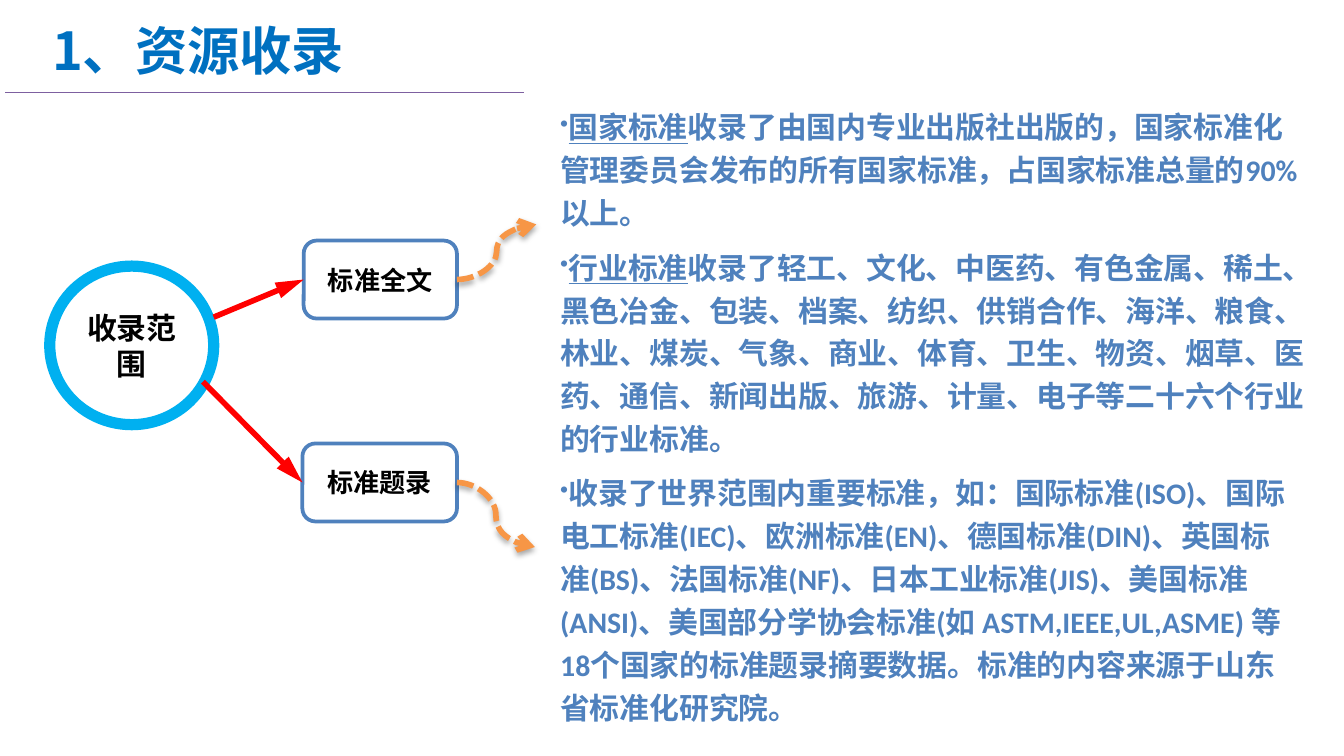
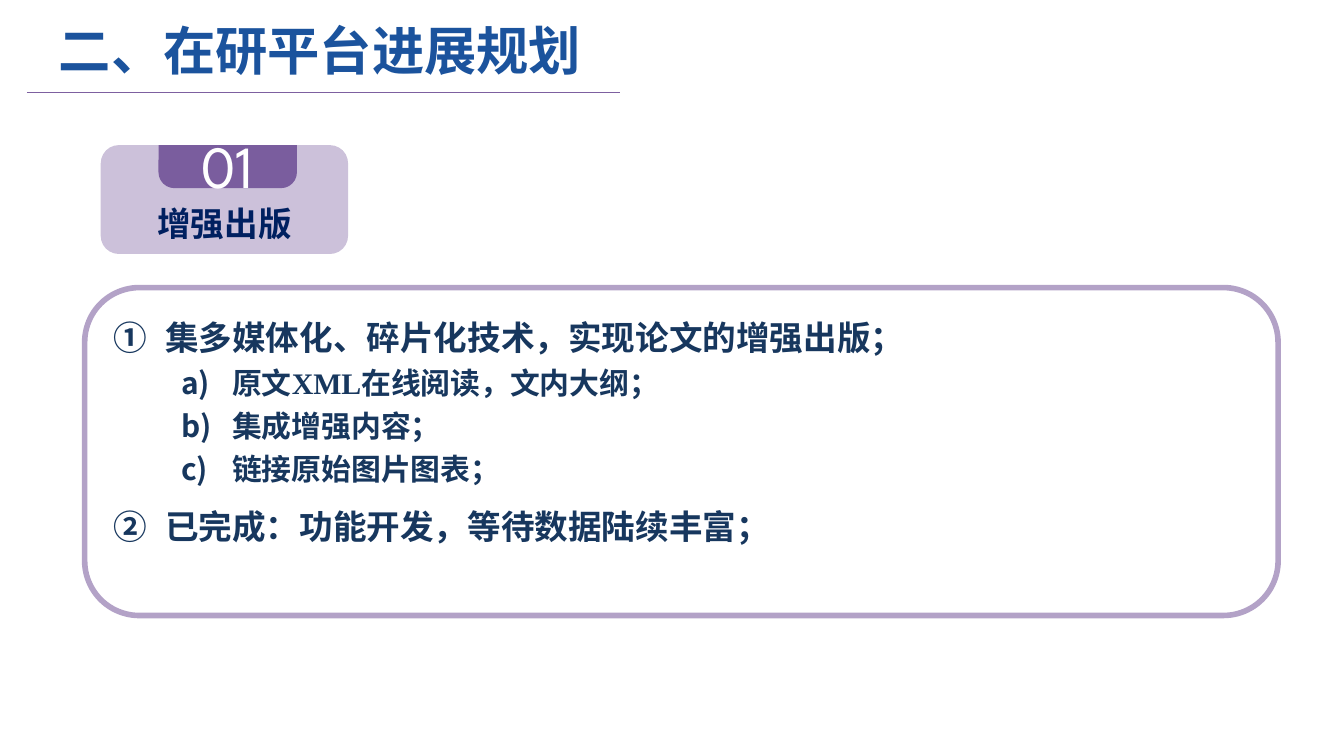
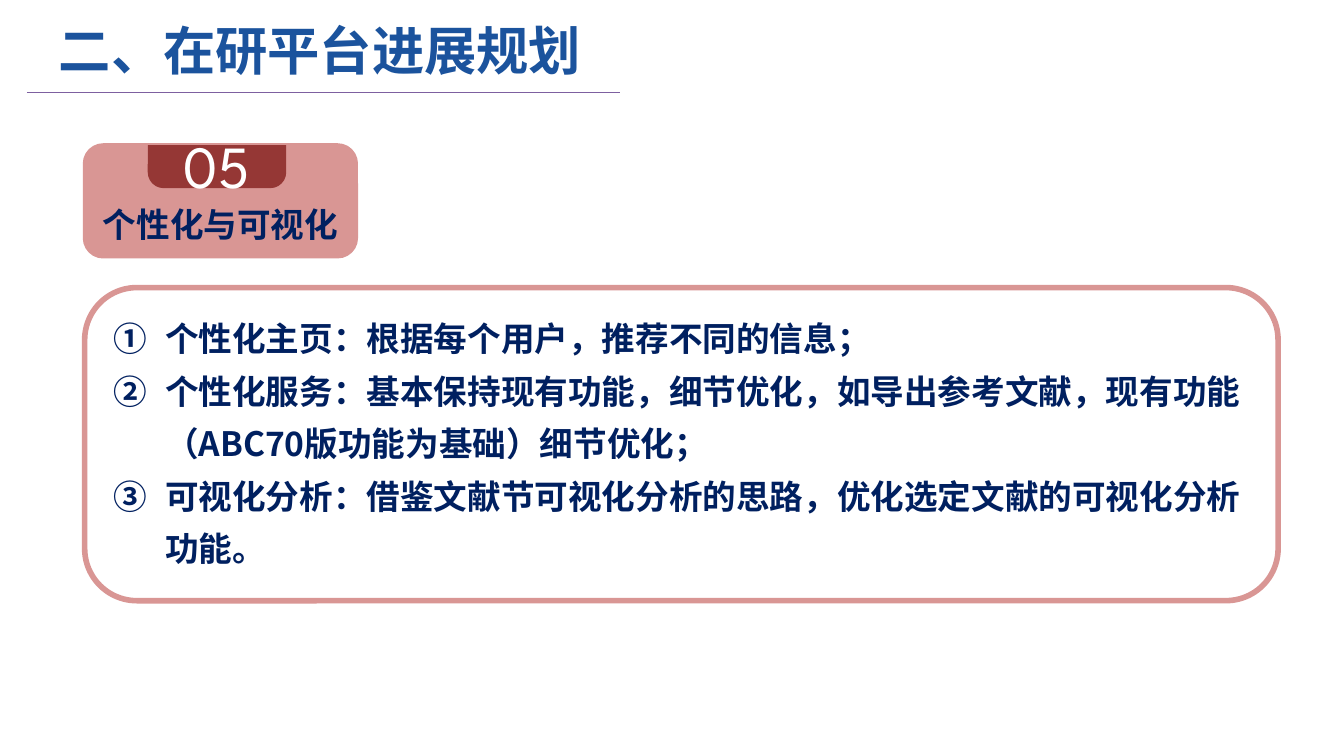
from dataclasses import dataclass
from lxml.etree import SubElement
from pptx import Presentation
from pptx.dml.color import RGBColor
from pptx.enum.dml import MSO_LINE as Dash
from pptx.enum.shapes import MSO_CONNECTOR as Connector, MSO_SHAPE as Shape
from pptx.enum.text import MSO_ANCHOR as Anchor, PP_ALIGN as Align
from pptx.oxml.ns import qn
from pptx.util import Inches, Pt


@dataclass(frozen=True)
class Theme:
    # Colours
    white: str = "FFFFFF"
    black: str = "000000"
    rule: str = "7D60A0"
    first_title: str = "0070C0"
    plan_title: str = "1B539D"
    ring: str = "00B0F0"
    blue: str = "4F81BD"
    red: str = "FF0000"
    orange: str = "F79646"
    navy: str = "002060"
    slate: str = "17375E"
    lilac: str = "CCC1DA"
    violet: str = "7A5D9E"
    mauve: str = "B3A2C7"
    rose: str = "D99694"
    brick: str = "953735"
    # Type
    cjk: str = "Noto Sans CJK SC"
    latin: str = "Calibri"
    serif: str = "Times New Roman"
    number: str = "League Spartan"
    title_size: int = 28
    number_size: int = 32
    head_size: int = 18
    body_size: int = 16
    label_size: int = 14


@dataclass
class Text:
    words: str
    size: int
    colour: str
    font: str = Theme.cjk
    bold: bool = True
    align: Align = Align.LEFT
    spacing: float = 1.0
    before: int = 0
    bullet: str = ""
    level: int = 0
    margin: float = 0
    hanging: float = 0
    lead: str = ""


theme = Theme()


def add_box(slide, frame, texts, kind=None, fill=None, line=None, width=0,
            sides=0.1, top=0.05, anchor=Anchor.MIDDLE):
    """Add a text box, or a preset shape when a kind is given, with its text."""
    frame = [Inches(length) for length in frame]
    if kind is None:
        box = slide.shapes.add_textbox(*frame)
    else:
        box = slide.shapes.add_shape(kind, *frame)
        box.shadow.inherit = False
        box.fill.solid()
        box.fill.fore_color.rgb = RGBColor.from_string(fill)
        if line:
            box.line.color.rgb = RGBColor.from_string(line)
            box.line.width = Pt(width)
        else:
            box.line.fill.background()
    text_frame = box.text_frame
    text_frame.word_wrap = True
    text_frame.vertical_anchor = anchor
    text_frame.margin_left = text_frame.margin_right = Inches(sides)
    text_frame.margin_top = Inches(top)

    for index, text in enumerate(texts):
        paragraph = text_frame.add_paragraph() if index else text_frame.paragraphs[0]
        paragraph.alignment = text.align
        paragraph.level = text.level
        paragraph.line_spacing = text.spacing
        if index and text.before:
            paragraph.space_before = Pt(text.before)
        properties = paragraph._p.get_or_add_pPr()
        if text.bullet:
            properties.set("marL", str(Inches(text.margin)))
            properties.set("indent", str(Inches(-text.hanging)))
            if text.bullet == "•":
                colour = SubElement(properties, qn("a:buClr"))
                SubElement(colour, qn("a:srgbClr"), val=text.colour)
                SubElement(properties, qn("a:buSzPct"), val="80000")
                SubElement(properties, qn("a:buChar"), char=text.bullet)
            else:
                SubElement(properties, qn("a:buAutoNum"), type=text.bullet)
        font = paragraph.font
        font.size = Pt(text.size)
        font.bold = text.bold
        font.color.rgb = RGBColor.from_string(text.colour)
        font.name = text.font
        SubElement(properties.find(qn("a:defRPr")), qn("a:ea"), typeface=theme.cjk)
        if text.lead:
            run = paragraph.add_run()
            run.text = text.lead
            run.font.underline = True
        paragraph.add_run().text = text.words
    return box


def add_line(slide, start, end, colour, width, head=None, curved=False):
    """Add a straight line, or a dashed curve with a soft shadow."""
    kind = Connector.CURVE if curved else Connector.STRAIGHT
    line = slide.shapes.add_connector(kind, *(Inches(value) for value in start + end))
    line.line.color.rgb = RGBColor.from_string(colour)
    line.line.width = Pt(width)
    if curved:
        line.line.dash_style = Dash.SQUARE_DOT
    if head:
        SubElement(line.line._get_or_add_ln(), qn("a:tailEnd"), type=head,
                   len="med" if curved else "lg")
    effects = SubElement(line._element.spPr, qn("a:effectLst"))
    if curved:
        shadow = SubElement(effects, qn("a:outerShdw"), blurRad=str(Pt(3.1)),
                            dist=str(Pt(1.8)), dir="5400000", rotWithShape="0")
        shade = SubElement(shadow, qn("a:srgbClr"), val=theme.black)
        SubElement(shade, qn("a:alpha"), val="35000")
    return line


# A 16:9 page
presentation = Presentation()
presentation.slide_width = Inches(10)
presentation.slide_height = presentation.slide_width * 9 // 16

# Titles with the rule below them
plan_title = ("二、在研平台进展规划", theme.plan_title, 0.34, 4.24, 0.2, 4.61)
slides = []
for words, colour, left, width, rule_start, rule_end in [
    ("1、资源收录", theme.first_title, 0.29, 5.06, 0.04, 3.9), plan_title, plan_title,
]:
    slide = presentation.slides.add_slide(presentation.slide_layouts[6])
    add_box(slide, (left, 0.13, width, 0.48), [Text(words, theme.title_size, colour)])
    add_line(slide, (rule_start, 0.69), (rule_end, 0.69), theme.rule, 0.75)
    slides.append(slide)

# Slide 1: scope circle and its two branches
slide = slides[0]
add_box(slide, (0.37, 1.98, 1.22, 1.18),
        [Text("收录范围", theme.body_size, theme.black, align=Align.CENTER)],
        Shape.OVAL, theme.white, theme.ring, 6, sides=0)
for label, left, top, arrow_start, curve_end in [
    ("标准全文", 2.26, 1.79, (1.59, 2.36), (3.99, 1.67)),
    ("标准题录", 2.25, 3.3, (1.51, 2.84), (3.98, 4.07)),
]:
    middle = top + 0.29
    branch = add_box(slide, (left, top, 3.4 - left, 0.58),
                     [Text(label, theme.label_size, theme.black, align=Align.CENTER)],
                     Shape.ROUNDED_RECTANGLE, theme.white, theme.blue, 2, sides=0)
    arrow = add_line(slide, arrow_start, (left, middle), theme.red, 3, "triangle")
    arrow.end_connect(branch, 1)
    add_line(slide, (3.4, middle), curve_end, theme.orange, 3, "arrow", curved=True)

# Slide 1: descriptions
for frame, entries in [
    ((4.07, 0.71, 5.75, 2.74), [
        ("国家标准", "收录了由国内专业出版社出版的，国家标准化管理委员会发布的所有国家标准，"
                 "占国家标准总量的90%以上。"),
        ("行业标准", "收录了轻工、文化、中医药、有色金属、稀土、黑色冶金、包装、档案、纺织、"
                 "供销合作、海洋、粮食、林业、煤炭、气象、商业、体育、卫生、物资、烟草、医药、"
                 "通信、新闻出版、旅游、计量、电子等二十六个行业的行业标准。"),
    ]),
    ((4.07, 3.43, 5.65, 2.02), [
        ("", "收录了世界范围内重要标准，如：国际标准(ISO)、国际电工标准(IEC)、欧洲标准(EN)、"
             "德国标准(DIN)、英国标准(BS)、法国标准(NF)、日本工业标准(JIS)、美国标准(ANSI)、"
             "美国部分学协会标准(如 ASTM,IEEE,UL,ASME) 等18个国家的标准题录摘要数据。"
             "标准的内容来源于山东省标准化研究院。"),
    ]),
]:
    add_box(slide, frame,
            [Text(words, theme.body_size, theme.blue, theme.latin, spacing=1.2,
                  before=6, bullet="•", lead=lead) for lead, words in entries],
            anchor=Anchor.TOP)

# Slides 2 and 3: numbered lists
circled = dict(bullet="circleNumDbPlain", margin=0.38, hanging=0.38)
lettered = dict(bullet="alphaLcParenR", margin=0.88, hanging=0.38, level=1)
publishing = [
    Text("集多媒体化、碎片化技术，实现论文的增强出版；", theme.head_size, theme.slate,
         spacing=1.2, **circled),
    *[Text(words, theme.body_size, theme.slate, theme.serif, spacing=1.2, **lettered)
      for words in ("原文XML在线阅读，文内大纲；", "集成增强内容；", "链接原始图片图表；")],
    Text("已完成：功能开发，等待数据陆续丰富；", theme.head_size, theme.slate,
         spacing=1.2, before=6, **circled),
]
personal = [
    Text(words, theme.head_size, theme.navy, spacing=1.3, **circled)
    for words in (
        "个性化主页：根据每个用户，推荐不同的信息；",
        "个性化服务：基本保持现有功能，细节优化，如导出参考文献，现有功能"
        "（ABC70版功能为基础）细节优化；",
        "可视化分析：借鉴文献节可视化分析的思路，优化选定文献的可视化分析功能。",
    )
]

# Slides 2 and 3: badge, number tab and framed list
for slide, number, name, badge, badge_fill, badge_line, tab_left, tab_fill, \
        frame_line, frame_height, list_top, list_height, texts in [
    (slides[1], "01", "增强出版", (0.75, 1.08, 1.84, 0.81), theme.lilac, None,
     1.18, theme.violet, theme.mauve, 2.44, 2.25, 2.22, publishing),
    (slides[2], "05", "个性化与可视化", (0.63, 1.08, 2.02, 0.83), theme.rose, theme.rose,
     1.1, theme.brick, theme.rose, 2.33, 2.23, 2.05, personal),
]:
    add_box(slide, badge,
            [Text(name, theme.head_size, theme.navy, align=Align.CENTER)],
            Shape.ROUNDED_RECTANGLE, badge_fill, badge_line, 2, sides=0.08, top=0.4)
    tab = add_box(slide, (tab_left, 1.08, 1.03, 0.32),
                  [Text(number, theme.number_size, theme.white, theme.number,
                        bold=False, align=Align.CENTER)],
                  Shape.ROUND_2_SAME_RECTANGLE, tab_fill)
    tab.adjustments[0] = 0
    tab.adjustments[1] = 0.37
    add_box(slide, (0.63, 2.14, 8.88, frame_height), [],
            Shape.ROUNDED_RECTANGLE, theme.white, frame_line, 3)
    add_box(slide, (0.75, list_top, 8.76, list_height), texts, anchor=Anchor.TOP)

presentation.save("out.pptx")
